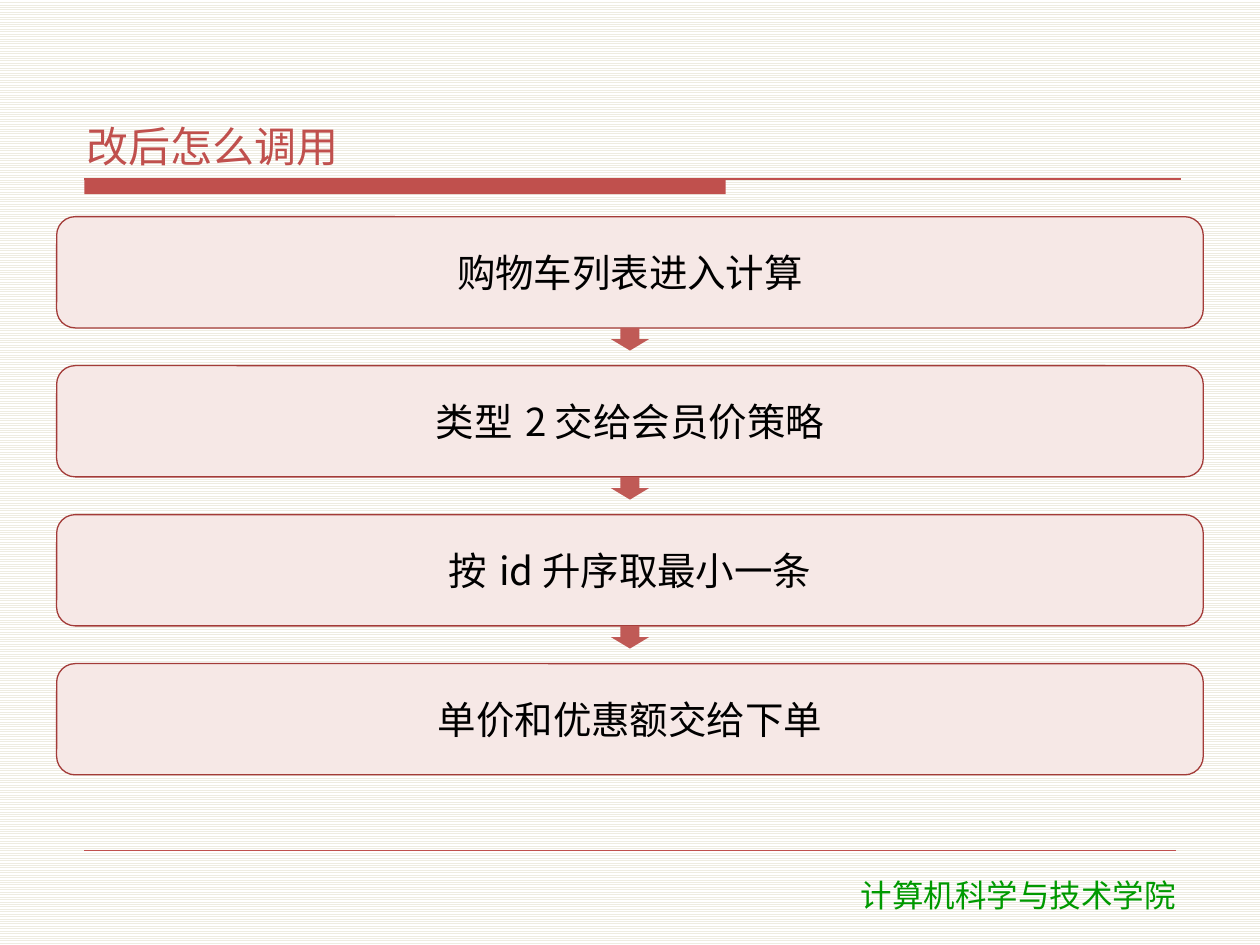
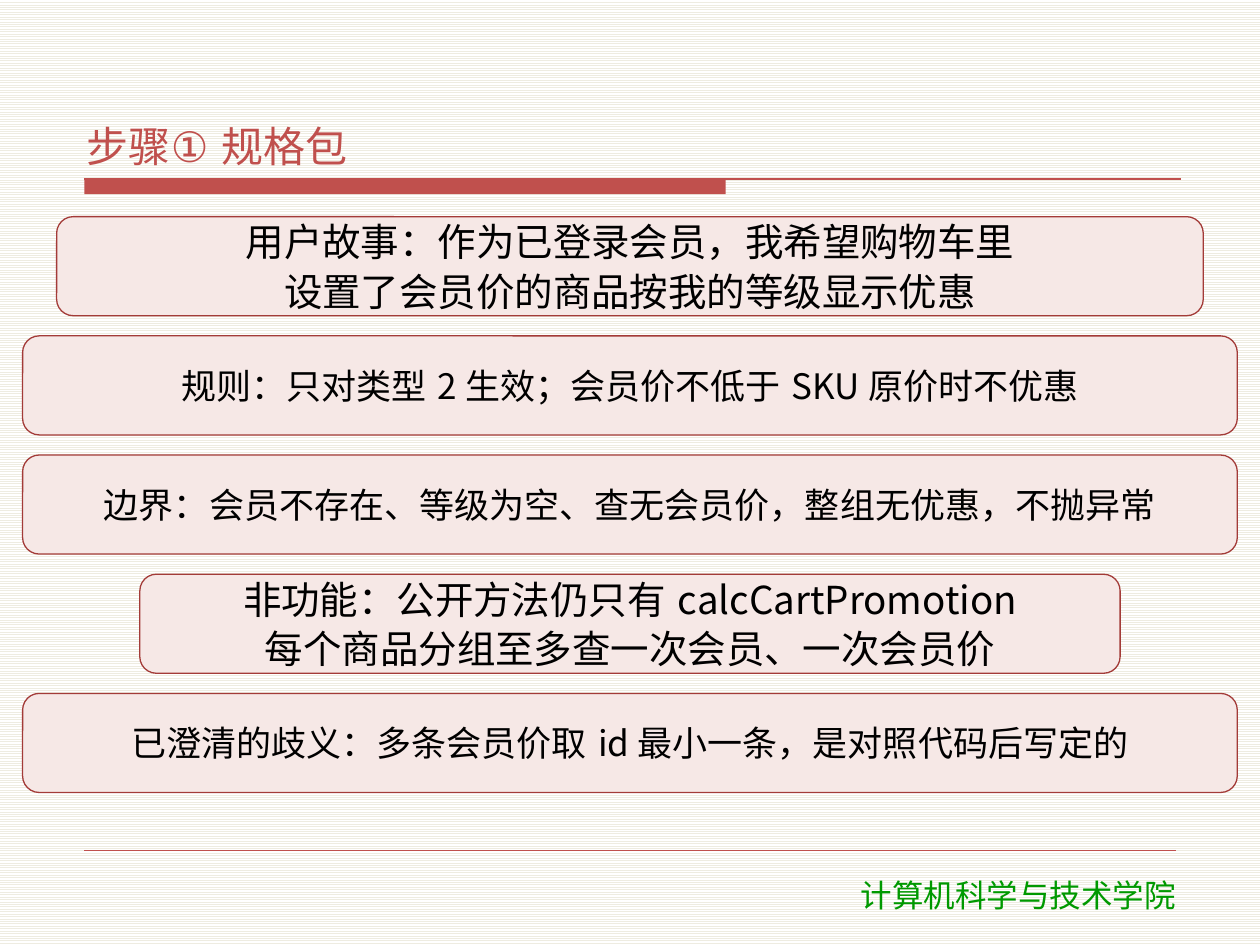
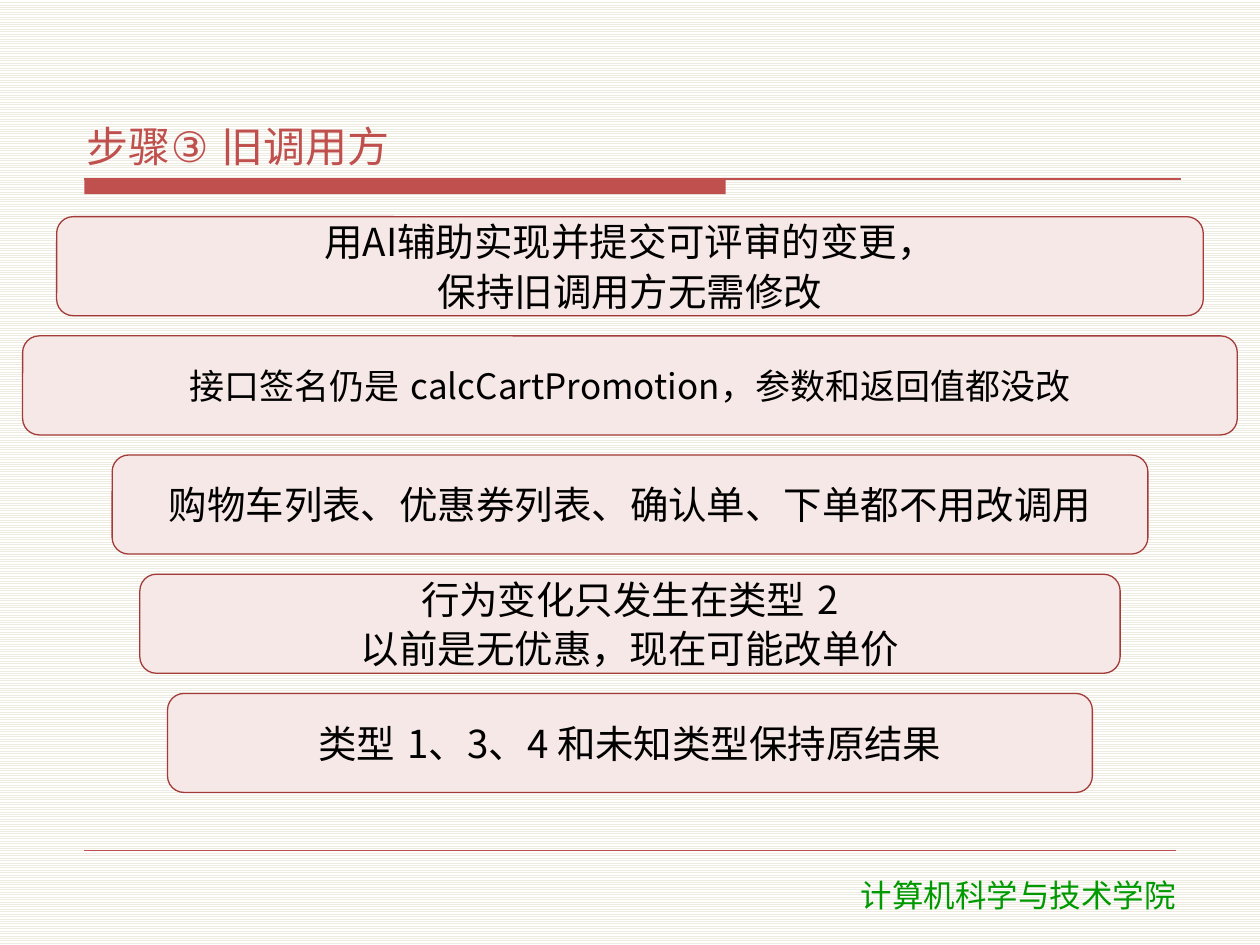
from lxml import etree
from pptx import Presentation
from pptx.dml.color import RGBColor
from pptx.enum.dml import MSO_PATTERN
from pptx.enum.shapes import MSO_CONNECTOR, MSO_SHAPE
from pptx.enum.text import MSO_ANCHOR as Anchor, PP_ALIGN as Align
from pptx.oxml.ns import qn
from pptx.util import Inches, Pt

COLORS = {
    "accent": "C0504D",
    "arrow": "C05A56",
    "card": "F6E8E6",
    "edge": "A33B38",
    "footer": "009900",
    "ink": "000000",
    "paper": "FFFFFF",
    "stripe": "EEECE1",
}
LATIN_FONT = "Noto Sans CJK SC"
ASIAN_FONT = "DejaVu Sans"
CENTER_X = 5
STACK_TOP = 1.72
CARD_WIDTH = 9.1
FULL_WIDTH = 9.64
SCHOOL = "计算机科学与技术学院"

FLOW_CARDS = [
    (CARD_WIDTH, ["购物车列表进入计算"]),
    (CARD_WIDTH, ["类型 2 交给会员价策略"]),
    (CARD_WIDTH, ["按 id 升序取最小一条"]),
    (CARD_WIDTH, ["单价和优惠额交给下单"]),
]
SPEC_CARDS = [
    (CARD_WIDTH, ["用户故事：作为已登录会员，我希望购物车里",
                  "设置了会员价的商品按我的等级显示优惠"]),
    (FULL_WIDTH, ["规则：只对类型 2 生效；会员价不低于 SKU 原价时不优惠"]),
    (FULL_WIDTH, ["边界：会员不存在、等级为空、查无会员价，整组无优惠，不抛异常"]),
    (7.78, ["非功能：公开方法仍只有 calcCartPromotion",
            "每个商品分组至多查一次会员、一次会员价"]),
    (FULL_WIDTH, ["已澄清的歧义：多条会员价取 id 最小一条，是对照代码后写定的"]),
]
CALLER_CARDS = [
    (CARD_WIDTH, ["用AI辅助实现并提交可评审的变更，", "保持旧调用方无需修改"]),
    (FULL_WIDTH, ["接口签名仍是 calcCartPromotion，参数和返回值都没改"]),
    (8.22, ["购物车列表、优惠券列表、确认单、下单都不用改调用"]),
    (7.78, ["行为变化只发生在类型 2", "以前是无优惠，现在可能改单价"]),
    (7.34, ["类型 1、3、4 和未知类型保持原结果"]),
]


def rgb(name):
    return RGBColor.from_string(COLORS[name])


def assign(target, values):
    for name, value in values.items():
        setattr(target, name, value)


class SlideBuilder:
    def __init__(self, deck):
        self.deck = deck
        self.slide = None
        fill = deck.slide_master.background.fill
        fill.patterned()
        fill.pattern = MSO_PATTERN.LIGHT_HORIZONTAL
        fill.fore_color.rgb = rgb("stripe")
        fill.back_color.rgb = rgb("paper")

    def start(self, title):
        self.slide = self.deck.slides.add_slide(self.deck.slide_layouts[6])
        self.shape(MSO_SHAPE.RECTANGLE, 0.67, 1.42, 5.09, 0.12, "accent")
        self.rule(0.67, 9.37, 1.42, 0.75)
        self.rule(0.67, 9.33, 6.75, 0.25)
        self.label(6.07, 6.9, 4.02, 0.4, SCHOOL, size=18, color="footer",
                   align=Align.CENTER, font=ASIAN_FONT, inset=(0.1, 0.05))
        self.label(0.63, 0.33, 8.75, 1.05, title, size=24, color="accent",
                   anchor=Anchor.BOTTOM)

    def shape(self, kind, left, top, width, height, fill, edge=None):
        shape = self.slide.shapes.add_shape(
            kind, Inches(left), Inches(top), Inches(width), Inches(height))
        shape.shadow.inherit = False
        shape.fill.solid()
        shape.fill.fore_color.rgb = rgb(fill)
        if edge:
            shape.line.color.rgb = rgb(edge)
            shape.line.width = Pt(0.75)
        else:
            shape.line.fill.background()
        return shape

    def rule(self, left, right, height, weight):
        line = self.slide.shapes.add_connector(
            MSO_CONNECTOR.STRAIGHT, Inches(left), Inches(height),
            Inches(right), Inches(height))
        line.line.color.rgb = rgb("accent")
        line.line.width = Pt(weight)
        etree.SubElement(line._element.spPr, qn("a:effectLst"))

    def label(self, left, top, width, height, text, **style):
        box = self.slide.shapes.add_textbox(
            Inches(left), Inches(top), Inches(width), Inches(height))
        self.fill_text(box, [text], **style)

    def fill_text(self, box, lines, size, color, align=Align.LEFT,
                  anchor=Anchor.TOP, font=LATIN_FONT, inset=(0.06, 0.02)):
        side, edge = (Inches(value) for value in inset)
        frame = box.text_frame
        assign(frame, {
            "word_wrap": True, "vertical_anchor": anchor,
            "margin_left": side, "margin_right": side,
            "margin_top": edge, "margin_bottom": edge,
        })
        for index, line in enumerate(lines):
            para = frame.add_paragraph() if index else frame.paragraphs[0]
            assign(para, {"alignment": align, "space_after": Pt(2)})
            span = para.add_run()
            span.text = line
            assign(span.font, {"size": Pt(size), "name": font})
            span.font.color.rgb = rgb(color)
            asian = etree.SubElement(span._r.get_or_add_rPr(), qn("a:ea"))
            asian.set("typeface", ASIAN_FONT)

    def card(self, top, width, height, lines):
        box = self.shape(MSO_SHAPE.ROUNDED_RECTANGLE, CENTER_X - width / 2,
                         top, width, height, "card", "edge")
        full = width == FULL_WIDTH
        self.fill_text(box, lines, size=20 if full else 22, color="ink",
                       align=Align.CENTER, anchor=Anchor.MIDDLE,
                       inset=(0.02 if full else 0.06, 0.02))

    def arrow(self, top):
        self.shape(MSO_SHAPE.DOWN_ARROW, CENTER_X - 0.15, top, 0.3, 0.18, "arrow")

    def stack(self, cards, bottom, gap, arrows=False):
        height = (bottom - STACK_TOP + gap) / len(cards) - gap
        for index, (width, lines) in enumerate(cards):
            top = STACK_TOP + index * (height + gap)
            self.card(top, width, height, lines)
            if arrows and index < len(cards) - 1:
                self.arrow(top + height)


def main():
    deck = Presentation()
    assign(deck, {"slide_width": Inches(10), "slide_height": Inches(7.5)})
    builder = SlideBuilder(deck)

    builder.start("改后怎么调用")
    builder.stack(FLOW_CARDS, bottom=6.15, gap=0.3, arrows=True)

    builder.start("步骤① 规格包")
    builder.stack(SPEC_CARDS, bottom=6.29, gap=0.16)

    builder.start("步骤③ 旧调用方")
    builder.stack(CALLER_CARDS, bottom=6.29, gap=0.16)

    deck.save("out.pptx")


if __name__ == "__main__":
    main()
